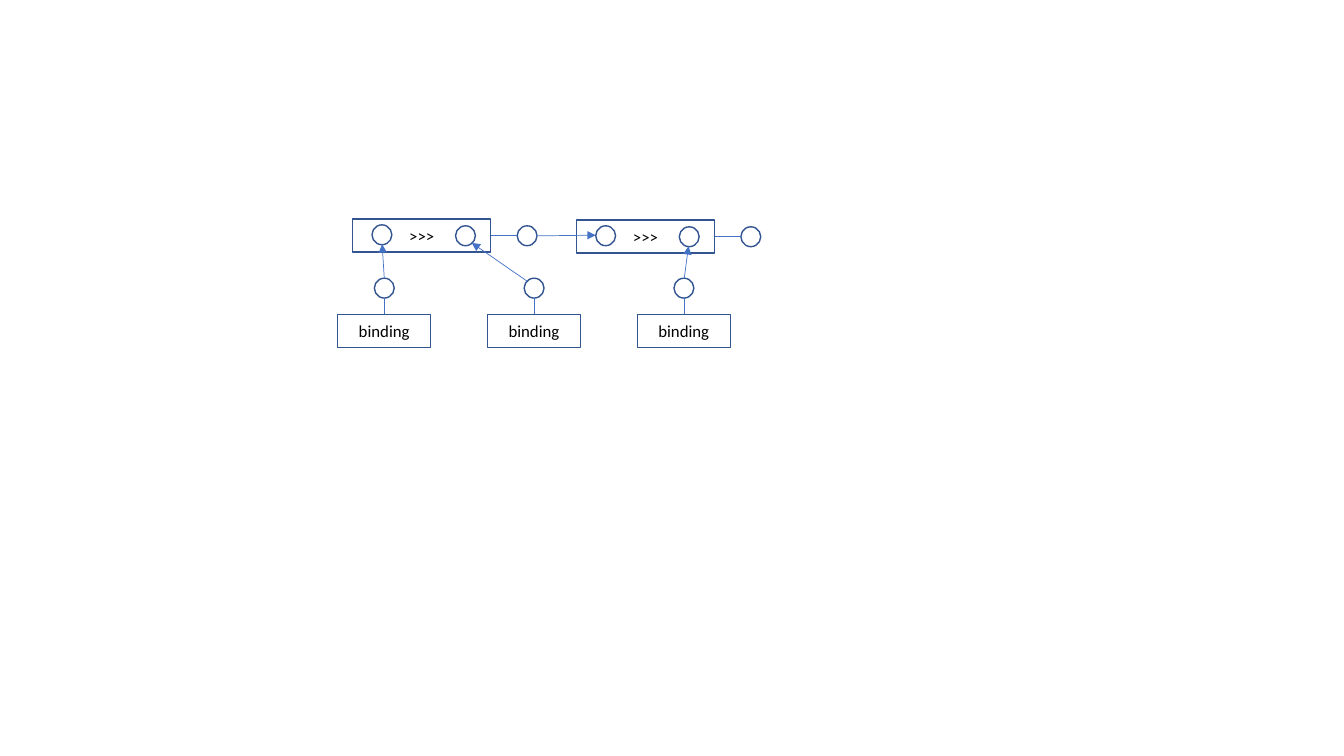
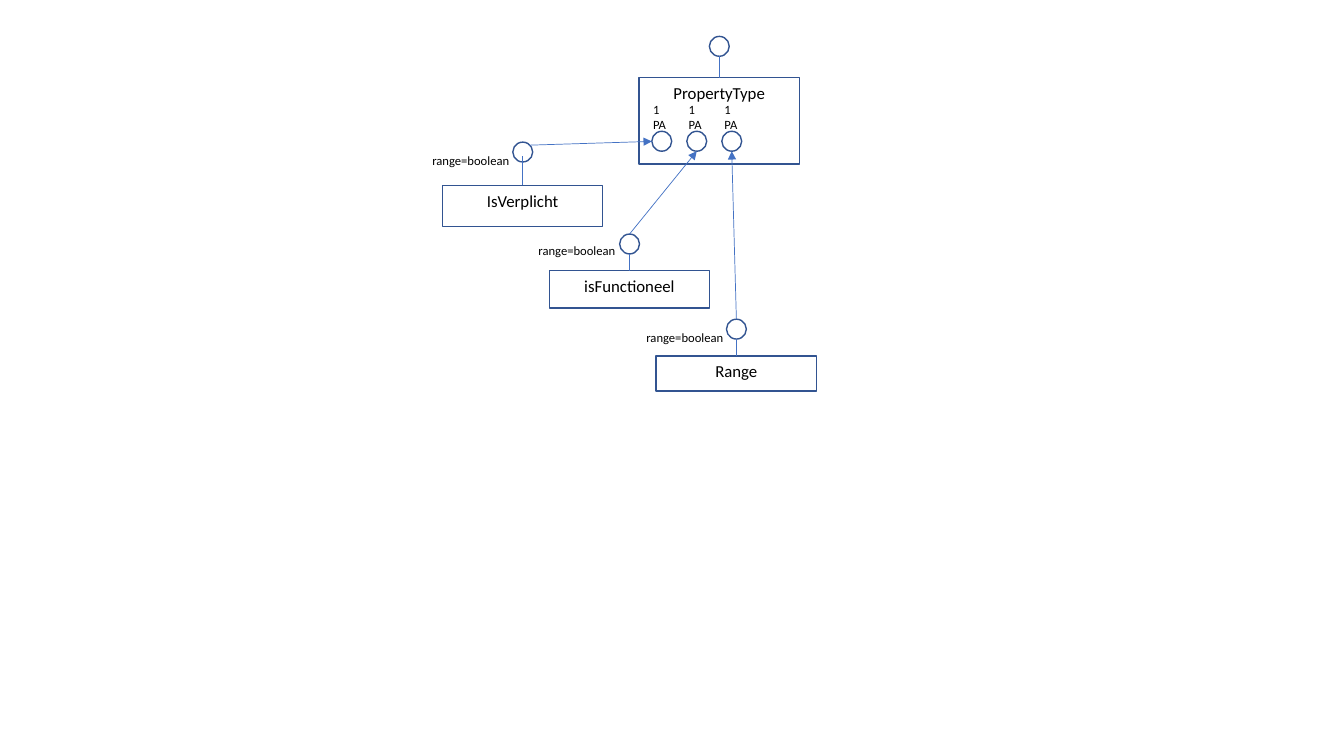
from pptx import Presentation
from pptx.dml.color import RGBColor
from pptx.enum import shapes, text
from pptx.oxml.ns import qn
from pptx.util import Pt
from lxml import etree

OUTLINE = RGBColor(0x32, 0x54, 0x91)
LINK = RGBColor(0x44, 0x72, 0xC4)
BLACK = RGBColor(0, 0, 0)
FONT = "Calibri"
RECT = shapes.MSO_SHAPE.RECTANGLE
OVAL = shapes.MSO_SHAPE.OVAL
TOP, MIDDLE = text.MSO_ANCHOR.TOP, text.MSO_ANCHOR.MIDDLE
DOT = 14.2


def add_node(s, kind, x, y, w=DOT, h=DOT, label="", anchor=MIDDLE):
    """Draw an outlined shape, a port by default, with an optional label."""
    sp = s.shapes.add_shape(kind, Pt(x), Pt(y), Pt(w), Pt(h))
    sp.shadow.inherit = False
    sp.fill.background()
    sp.line.color.rgb = OUTLINE
    sp.line.width = Pt(1)
    if label:
        tf = sp.text_frame
        tf.vertical_anchor = anchor
        p = tf.paragraphs[0]
        p.alignment = text.PP_ALIGN.CENTER
        r = p.add_run()
        r.text = label
        r.font.name, r.font.size, r.font.color.rgb = FONT, Pt(12), BLACK


def add_link(s, x1, y1, x2, y2, arrow=False):
    """Draw a thin line, with an arrowhead at its end if asked."""
    c = s.shapes.add_connector(shapes.MSO_CONNECTOR.STRAIGHT,
                               Pt(x1), Pt(y1), Pt(x2), Pt(y2))
    c.line.color.rgb = LINK
    c.line.width = Pt(0.5)
    if arrow:
        etree.SubElement(c.line._get_or_add_ln(), qn("a:tailEnd"), type="triangle")
    etree.SubElement(c._element.spPr, qn("a:effectLst"))


prs = Presentation()
prs.slide_width, prs.slide_height = Pt(960), Pt(540)
blank = prs.slide_layouts[6]

# Slide 1: two compositions fed by three bindings
s = prs.slides.add_slide(blank)
for x, y in [(252, 156.3), (411.8, 157)]:
    add_node(s, RECT, x, y, 98.6, 23.6, ">>>")
    for dx, dy in [(13.7, 4.3), (73.4, 5), (117.4, 5)]:
        add_node(s, OVAL, x + dx, y + dy)
    add_link(s, x + 98.6, y + 12, x + 117.4, y + 12)

for i in range(3):
    x = 241.2 + 107 * i
    add_node(s, RECT, x, 224.6, 66.5, 23.6, "binding")
    add_node(s, OVAL, x + 26.2, 198.7)
    add_link(s, x + 33.3, 224.6, x + 33.3, 213)

for ends in [(383, 168.5, 425.5, 168), (274.5, 198.7, 273, 174.5),
             (376.6, 200.9, 337, 173.5), (488.8, 198.7, 491.8, 175.9)]:
    add_link(s, *ends, arrow=True)

# Slide 2: a property type and the concepts that fill its ports
s = prs.slides.add_slide(blank)
concepts = [  # name, left, top, height, port top, link end
    ("PropertyType", 456.5, 55.4, 61.9, 26, 40.3),
    ("IsVerplicht", 316.1, 132.5, 29.5, 101.5, 111.6),
    ("isFunctioneel", 392.4, 193.4, 26.6, 167.2, 181.4),
    ("Range", 468.7, 254.2, 25.2, 228, 242.2),
]
for name, x, y, h, port_y, link_y in concepts:
    add_node(s, RECT, x, y, 114.5, h, name, TOP)
    add_node(s, OVAL, x + 50.2, port_y)
    add_link(s, x + 57.3, y, x + 57.3, link_y)

for i in range(3):
    add_node(s, OVAL, 465.6 + 25 * i, 93.8)

for ends in [(378, 103.7, 465.6, 101), (449.7, 167.2, 497.7, 108),
             (526, 228, 522.7, 108)]:
    add_link(s, *ends, arrow=True)

port_labels = [(459.4 + 25.5 * i, 69.3, 24.5, 28.8, ["1", "PA"]) for i in range(3)]
range_labels = [(x, y, 70.6, 18, ["range=boolean"])
                for x, y in [(301.7, 106), (377.5, 170), (454.6, 232.4)]]
for x, y, w, h, lines in port_labels + range_labels:
    tf = s.shapes.add_textbox(Pt(x), Pt(y), Pt(w), Pt(h)).text_frame
    tf.word_wrap = False
    tf.auto_size = text.MSO_AUTO_SIZE.SHAPE_TO_FIT_TEXT
    for n, line in enumerate(lines):
        p = tf.add_paragraph() if n else tf.paragraphs[0]
        r = p.add_run()
        r.text = line
        r.font.name, r.font.size, r.font.color.rgb = FONT, Pt(9), BLACK

prs.save("out.pptx")
